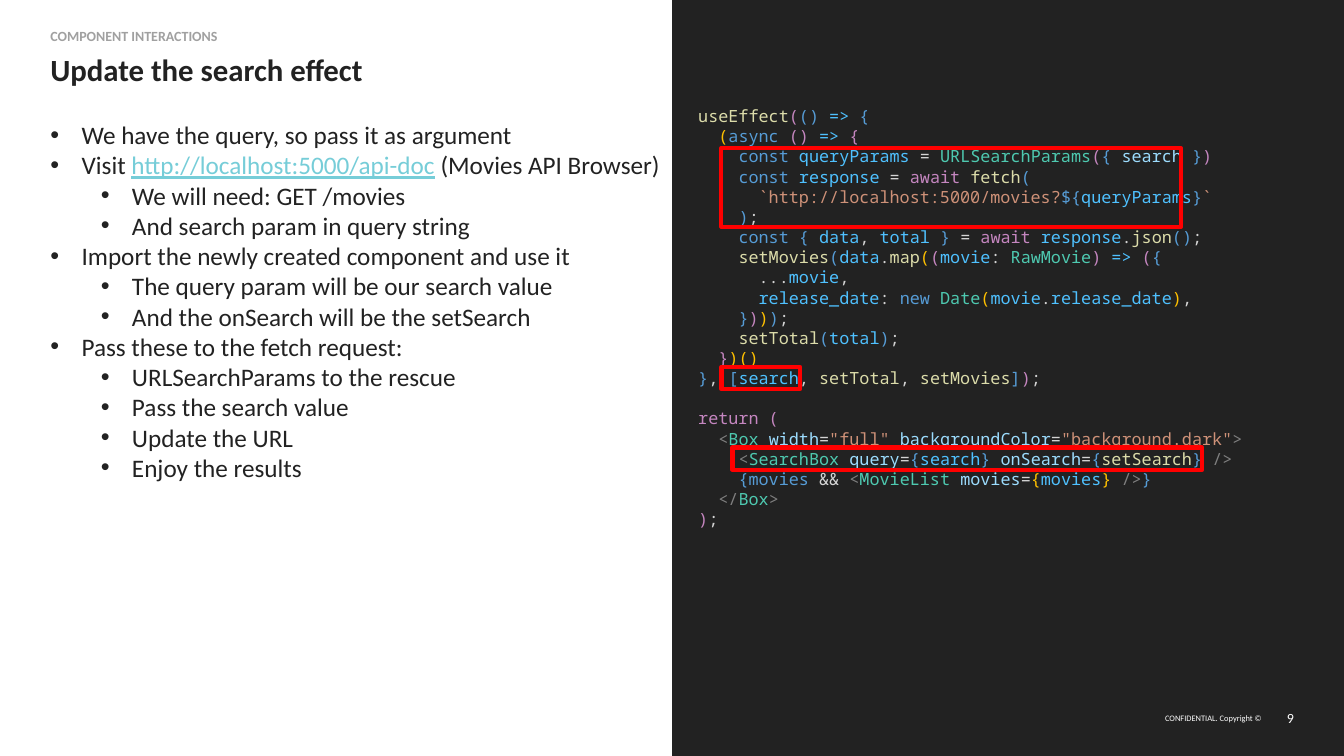
from lxml import etree
from pptx import Presentation
from pptx.dml.color import RGBColor
from pptx.enum.shapes import MSO_SHAPE
from pptx.enum.text import MSO_ANCHOR, PP_ALIGN
from pptx.oxml.ns import qn
from pptx.util import Inches, Pt

RECT = MSO_SHAPE.RECTANGLE
TOP, MIDDLE = MSO_ANCHOR.TOP, MSO_ANCHOR.MIDDLE
RIGHT = PP_ALIGN.RIGHT

# The slide is a grid of square cells; a code letter is one cell wide.
ROWS, COLS, CELL = 75, 133.33, 0.1
HALF = COLS / 2
LINE = 2  # cells per code line

THEME = {
    "sans": "Calibri",
    "mono": "Noto Sans Mono",
    "dark": "222222",
    "light": "FFFFFF",
    "muted": "A0A0A0",
    "link": "76CDD8",
    "mark": "FF0000",
    "size": {"label": 10, "title": 22, "body": 18, "code": 12, "legal": 6, "page": 10},
    "lead": 1.2,
    # Syntax colours, by the letter that opens each code token.
    "code": {
        "f": "DCDCAA",  # function
        "k": "569CD6",  # keyword
        "c": "C586C0",  # control
        "v": "4FC1FF",  # variable
        "g": "FFC000",  # gold bracket
        "t": "4EC9B0",  # type
        "a": "9CDCFE",  # attribute
        "s": "CE9178",  # string
        "o": "D4D4D4",  # operator
        "x": "808080",  # tag mark
    },
}

POINTS = [
    (0, ["We have the query, so pass it as argument"]),
    (0, ["Visit ", "http://localhost:5000/api-doc", " (Movies API Browser)"]),
    (1, ["We will need: GET /movies"]),
    (1, ["And search param in query string"]),
    (0, ["Import the newly created component and use it"]),
    (1, ["The query param will be our search value"]),
    (1, ["And the onSearch will be the setSearch"]),
    (0, ["Pass these to the fetch request:"]),
    (1, ["URLSearchParams to the rescue"]),
    (1, ["Pass the search value"]),
    (1, ["Update the URL"]),
    (1, ["Enjoy the results"]),
]

# Each block is a list of (indent level, tokens "letter text" split by |).
EFFECT = [
    (0, "f useEffect|c (|k () |v =>|k  {"),
    (1, "g (|k async |c () |v =>|c  {"),
    (2, "k const |v queryParams |o = |t URLSearchParams|c (|k { |a search |k }|c )"),
    (2, "k const |v response |o = |c await |f fetch|k ("),
    (3, "s `http://localhost:5000/movies?|k ${|v queryParams|k }|s `"),
    (2, "k )|o ;"),
    (2, "k const { |v data|o ,|v  total |k } |o = |c await |v response|o .|f json|k ()|o ;"),
    (2, "f setMovies|k (|v data|o .|f map|g (|c (|v movie|o : |t RawMovie|c ) |v =>|c  (|k {"),
    (3, "o ...|v movie|o ,"),
    (3, "v release_date|o : |k new |t Date|g (|v movie|o .|v release_date|g )|o ,"),
    (2, "k }|c )|g )|k )|o ;"),
    (2, "f setTotal|k (|v total|k )|o ;"),
    (1, "c }|g )()"),
    (0, "k }|o ,|k  [|v search|o , |f setTotal|o , |f setMovies|k ]|c )|o ;"),
]
RENDER = [
    (0, "c return ("),
    (1, 'x <|t Box |a width|o =|s "full" |a backgroundColor|o =|s "background.dark"|x >'),
    (2, "x <|t SearchBox |a query|o =|k {|v search|k } |a onSearch|o =|k {|f setSearch|k } |x />"),
    (2, "k {movies |o && |x <|t MovieList |a movies|o =|g {|v movies|g } |x />|k }"),
    (1, "x </|t Box|x >"),
    (0, "c )|o ;"),
]

# Frames around code: column, line, width and height in letters and lines.
MARKS = [(2.3, 12.95, 7.8, 1.1), (2.3, 2.1, 45.6, 3.9), (3.4, 16.95, 46.6, 1.1)]


def inner(box, x, y, wide, high):
    """Give the box at an offset, in cells, from another box."""
    return box[0] + x, box[1] + y, wide, high


def span(box):
    """Turn cells into slide lengths."""
    return [Inches(cells * CELL) for cells in box]


def block(slide, box, anchor=TOP):
    """Add an empty text frame without insets."""
    frame = slide.shapes.add_textbox(*span(box)).text_frame
    form = {"word_wrap": True, "vertical_anchor": anchor, "margin_left": 0,
            "margin_right": 0, "margin_top": 0, "margin_bottom": 0}
    for name, value in form.items():
        setattr(frame, name, value)
    return frame


def line(frame, first, **form):
    """Give the first or a further paragraph, with its format."""
    para = frame.paragraphs[0] if first else frame.add_paragraph()
    for name, value in form.items():
        setattr(para, name, value)
    return para


def write(para, text, role, color, face="sans", **form):
    run = para.add_run()
    run.text = text
    form.update(name=THEME[face], size=Pt(THEME["size"][role]))
    for name, value in form.items():
        setattr(run.font, name, value)
    run.font.color.rgb = RGBColor.from_string(color)


def label(slide, box, text, role, color, anchor=TOP, bold=False, **form):
    para = line(block(slide, box, anchor), True, **form)
    write(para, text, role, color, bold=bold)


def panel(slide, box, fill=None, edge=None):
    """Add a plain rectangle, either filled or framed."""
    shape = slide.shapes.add_shape(RECT, *span(box))
    shape.shadow.inherit = False
    if fill:
        shape.fill.solid()
        shape.fill.fore_color.rgb = RGBColor.from_string(fill)
    else:
        shape.fill.background()
    if edge:
        shape.line.color.rgb = RGBColor.from_string(edge)
        shape.line.width = Pt(3)
    else:
        shape.line.fill.background()


def bullet(para, level):
    props = para._p.get_or_add_pPr()
    hang = Inches(0.31)
    props.set("marL", str(hang + level * Inches(0.5)))
    props.set("indent", str(-hang))
    etree.SubElement(props, qn("a:buFont")).set("typeface", "Arial")
    etree.SubElement(props, qn("a:buChar")).set("char", "•")


def head(slide, box):
    label(slide, inner(box, 5, 2.6, 39.5, 2.5), "COMPONENT INTERACTIONS", "label",
          THEME["muted"], bold=True, line_spacing=1.1)
    label(slide, inner(box, 5, 5, 52.5, 5), "Update the search effect", "title",
          THEME["dark"], bold=True)


def points(slide, box):
    frame = block(slide, box)
    pitch = Pt(THEME["size"]["body"] * THEME["lead"])
    for row, (level, parts) in enumerate(POINTS):
        para = line(frame, row == 0, level=level, line_spacing=pitch)
        bullet(para, level)
        for text in parts:
            link = text.startswith("http")
            write(para, text, "body", THEME["link" if link else "dark"], underline=link)


def code(slide, box):
    frame = block(slide, box)
    pitch = Pt(THEME["size"]["code"] * THEME["lead"])
    for row, (level, tokens) in enumerate(EFFECT + RENDER):
        gap = pitch if row == len(EFFECT) else 0
        para = line(frame, row == 0, line_spacing=pitch, space_before=gap)
        para._p.get_or_add_pPr().set("marL", str(level * Inches(2 * CELL)))
        for token in tokens.split("|"):
            write(para, token[2:], "code", THEME["code"][token[0]], face="mono")
    for col, row, wide, high in MARKS:
        panel(slide, inner(box, col, row * LINE, wide, high * LINE), edge=THEME["mark"])


def foot(slide, box):
    for x, wide, text, role in [(0, 10.3, "CONFIDENTIAL. Copyright ©", "legal"),
                                (10.8, 2.7, "9", "page")]:
        label(slide, inner(box, x, 0, wide, box[3]), text, role, THEME["light"],
              anchor=MIDDLE, alignment=RIGHT)


def main():
    deck = Presentation()
    deck.slide_width, deck.slide_height = span((COLS, ROWS))
    slide = deck.slides.add_slide(deck.slide_layouts[6])
    left, right = (0, 0, HALF, ROWS), (HALF, 0, HALF, ROWS)
    panel(slide, right, fill=THEME["dark"])
    foot(slide, inner(right, 48.2, 70, 13.5, 2.4))
    head(slide, left)
    points(slide, inner(left, 5, 11.85, 61.7, 39.4))
    code(slide, inner(right, 2.6, 10.5, 61.8, 44.4))
    deck.save("out.pptx")


if __name__ == "__main__":
    main()
